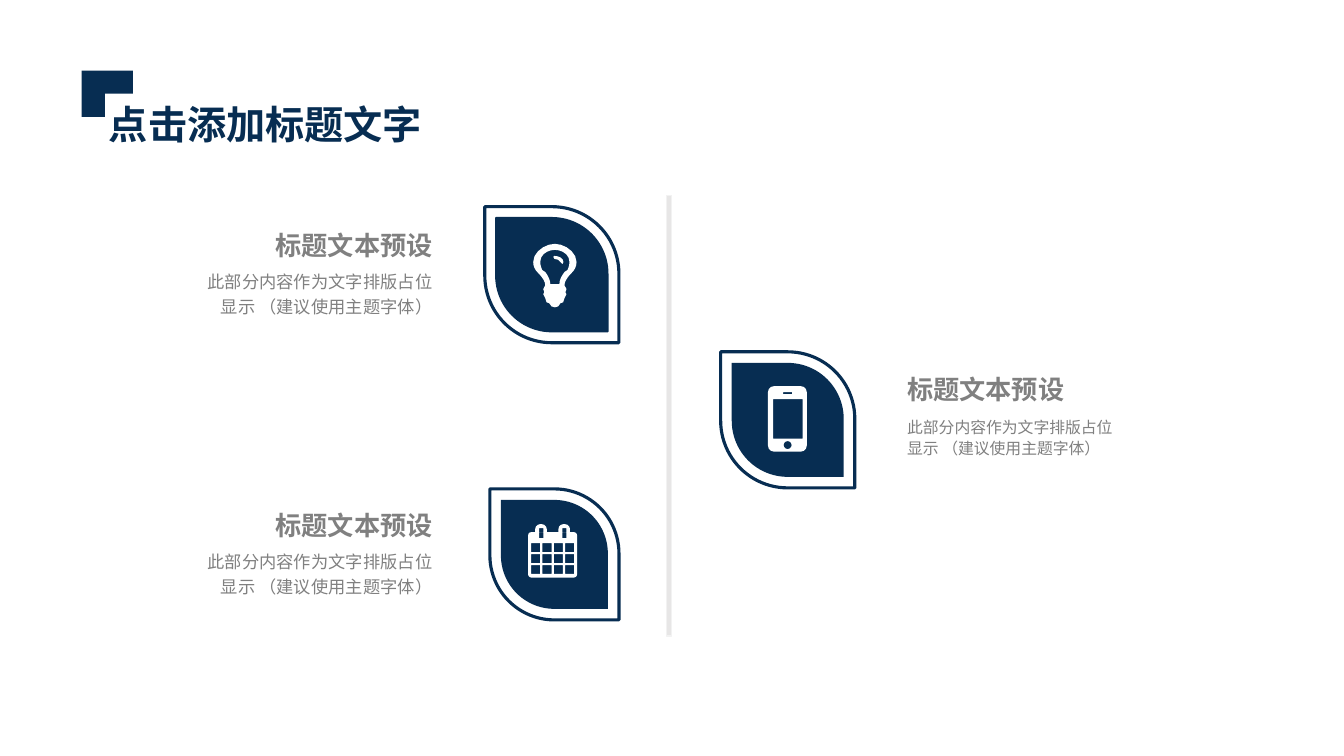
from math import cos, dist, pi, sin

from lxml import etree
from pptx import Presentation
from pptx.dml.color import RGBColor
from pptx.enum.shapes import MSO_SHAPE
from pptx.enum.text import MSO_ANCHOR, MSO_AUTO_SIZE, PP_ALIGN
from pptx.oxml.ns import qn
from pptx.util import Pt

NAVY = RGBColor(0x07, 0x2D, 0x52)
GREY = RGBColor(0x80, 0x80, 0x80)
PALE = RGBColor(0xE7, 0xE6, 0xE6)
PALE_EDGE = RGBColor(0xF2, 0xF2, 0xF2)
WHITE = RGBColor(0xFF, 0xFF, 0xFF)
FONT = "Noto Sans CJK SC"
LEAF, RECT, CORNER = MSO_SHAPE.ROUND_2_DIAG_RECTANGLE, MSO_SHAPE.RECTANGLE, MSO_SHAPE.CORNER
LEFT, RIGHT = PP_ALIGN.LEFT, PP_ALIGN.RIGHT
TOP, MIDDLE, BOTTOM = MSO_ANCHOR.TOP, MSO_ANCHOR.MIDDLE, MSO_ANCHOR.BOTTOM

TITLE = "点击添加标题文字"
HEADING = "标题文本预设"
BODY = "此部分内容作为文字排版占位显示 （建议使用主题字体）"
LEAF_GAP = 7.9
GRID = 0.72  # points per icon unit

# Right half of the bulb, from its top down: start, then Bezier segments
BULB_WIDTH = 43
BULB_HALF = ((21.5, 0), [
    (31, 0, 43, 8, 43, 18), (43, 23, 41, 26, 38, 29), (35, 32, 31, 37, 31, 41),
    (32, 42, 33, 44, 33, 45), (33, 46, 32, 47, 32, 48), (32, 48, 33, 49, 33, 50),
    (33, 52, 32, 53, 31, 54), (31, 58, 29, 59, 27, 59), (26, 62, 24, 63, 21.5, 63)])
GLASS_HALF = ((21.5, 6), [
    (28, 6, 36, 10, 36, 18), (36, 21, 35, 24, 34, 26), (33, 27, 32, 27, 31, 28),
    (28, 32, 26, 36, 26, 40)])
GLINT = ((29, 20), [
    (28, 20, 27, 19, 27, 18), (27, 16, 23, 15, 21, 15), (20, 15, 20, 14, 20, 13),
    (20, 13, 20, 12, 21, 12), (25, 12, 30, 14, 30, 18), (30, 19, 29, 20, 29, 20)])


def curve(start, segments):
    """Points along a chain of cubic Bezier segments, more on longer ones."""
    points = [start]
    for x1, y1, x2, y2, x3, y3 in segments:
        x0, y0 = points[-1]
        steps = min(5, max(1, round(dist((x0, y0), (x3, y3)) / 3)))
        for i in range(1, steps + 1):
            t = i / steps
            a, b, c, d = (1 - t) ** 3, 3 * t * (1 - t) ** 2, 3 * t * t * (1 - t), t ** 3
            points.append((a * x0 + b * x1 + c * x2 + d * x3,
                           a * y0 + b * y1 + c * y2 + d * y3))
    return points


def mirrored(half):
    points = curve(*half)
    return points + [(BULB_WIDTH - x, y) for x, y in reversed(points)]


def rounded(x, y, w, h, top=0, bottom=0):
    """Rectangle outline with its own radius for the top and bottom corners."""
    corners = [(x + w - bottom, y + h - bottom, bottom), (x + bottom, y + h - bottom, bottom),
               (x + top, y + top, top), (x + w - top, y + top, top)]
    points = []
    for k, (cx, cy, r) in enumerate(corners):
        for i in range(4 if r else 1):
            angle = pi / 2 * (k + i / 3)
            points.append((cx + r * cos(angle), cy + r * sin(angle)))
    return points


BULB = [mirrored(BULB_HALF), mirrored(GLASS_HALF), curve(*GLINT)]
PHONE = [rounded(0, 0, 38.5, 65, 6, 6), rounded(5, 13, 29.5, 39),
         rounded(15, 6, 9, 2), rounded(15.5, 54.5, 8, 8, 4, 4)]
CALENDAR = [rounded(0, 8, 48.5, 45, 3, 3)]
for tab_x in (7, 30):
    CALENDAR += [rounded(tab_x, 0, 11.5, 8, 5), rounded(tab_x + 4, 4, 4, 10)]
CALENDAR += [rounded(3 + 11.2 * col, 19 + 10.8 * row, 9, 8.8)
             for row in range(3) for col in range(4)]

LEFT_BODY = {"size": 12.3, "align": RIGHT, "anchor": TOP, "spacing": 1.2,
             "insets": (7.2, 3.6, 37.4, 3.6)}
LEFT_HEAD = {"size": 18.7, "bold": True, "align": RIGHT, "anchor": BOTTOM, "wrap": False,
             "insets": (0, 0, 37.4, 0)}
RIGHT_BODY = {"size": 11.3, "align": LEFT, "anchor": MIDDLE, "spacing": 1.1,
              "insets": (37.4, 3.6, 22.3, 3.6)}
RIGHT_HEAD = {"size": 18.7, "bold": True, "align": LEFT, "anchor": MIDDLE, "wrap": False,
              "insets": (37.4, 0, 22.3, 0)}

# leaf box, rim of the inner leaf, icon, icon corner, heading box, body box, formats
ITEMS = [
    ((345.6, 148.3, 97.2, 95.8), 1, BULB, (380.9, 174.2),
     (232.6, 161.3, 113.8, 25.2), (138.2, 187.2, 208.1, 43.9), LEFT_HEAD, LEFT_BODY),
    ((514.1, 252, 97.2, 95.8), 0, PHONE, (548.6, 275.8),
     (610.6, 265, 130.3, 25.2), (610.6, 290.2, 206.6, 43.9), RIGHT_HEAD, RIGHT_BODY),
    ((349.2, 349.9, 93.6, 92.2), 0, CALENDAR, (377.3, 374.4),
     (232.6, 361.4, 113.8, 25.2), (138.2, 387.4, 208.1, 43.9), LEFT_HEAD, LEFT_BODY),
]


def paint(sp, fill=None, line=None, width=0):
    sp.shadow.inherit = False
    if fill is None:
        sp.fill.background()
    else:
        sp.fill.solid()
        sp.fill.fore_color.rgb = fill
    if width:
        sp.line.color.rgb = line
        sp.line.width = Pt(width)
    else:
        sp.line.fill.background()


def add_box(s, kind, box, rotation=0, **look):
    sp = s.shapes.add_shape(kind, *map(Pt, box))
    sp.rotation = rotation
    paint(sp, **look)
    return sp


def add_leaf(s, box, **look):
    sp = add_box(s, LEAF, box, 270, **look)
    sp.adjustments[0], sp.adjustments[1] = 0.5, 0


def add_icon(s, outlines, corner):
    fine = [[(x * 100, y * 100) for x, y in points] for points in outlines]
    builder = s.shapes.build_freeform(*fine[0][0], scale=Pt(GRID) / 100)
    builder.add_line_segments(fine[0][1:], close=True)
    for points in fine[1:]:
        builder.move_to(*points[0])
        builder.add_line_segments(points[1:], close=True)
    paint(builder.convert_to_shape(*map(Pt, corner)), fill=WHITE)


def write(sp, text, size, align, anchor, insets, color=GREY, bold=False, wrap=True, spacing=1.0):
    tf = sp.text_frame
    frame = {"auto_size": MSO_AUTO_SIZE.NONE, "word_wrap": wrap, "vertical_anchor": anchor}
    sides = ("margin_left", "margin_top", "margin_right", "margin_bottom")
    frame.update(zip(sides, map(Pt, insets)))
    for name, value in frame.items():
        setattr(tf, name, value)
    p = tf.paragraphs[0]
    p.alignment, p.line_spacing = align, spacing
    r = p.add_run()
    r.text = text
    for name, value in {"size": Pt(size), "bold": bold, "name": FONT}.items():
        setattr(r.font, name, value)
    r.font.color.rgb = color
    etree.SubElement(r.font._element, qn("a:ea"), typeface=FONT)


def main():
    prs = Presentation()
    prs.slide_width, prs.slide_height = Pt(960), Pt(540)
    s = prs.slides.add_slide(prs.slide_layouts[5])

    add_box(s, RECT, (475.9, 139.7, 3.6, 314.6), fill=PALE, line=PALE_EDGE, width=1)
    add_box(s, CORNER, (60.1, 48.6, 33.1, 36.7), 90, fill=NAVY)

    title = s.shapes.title
    title.left, title.top, title.width, title.height = map(Pt, (70.6, 67.7, 251.3, 41))
    write(title, TITLE, 28, LEFT, MIDDLE, (7.2, 3.6, 7.2, 3.6), color=NAVY, bold=True)

    for leaf, rim, icon, corner, head_box, body_box, head_format, body_format in ITEMS:
        x, y, w, h = leaf
        inner = (x + LEAF_GAP, y + LEAF_GAP, w - 2 * LEAF_GAP, h - 2 * LEAF_GAP)
        add_leaf(s, leaf, line=NAVY, width=2.25)
        add_leaf(s, inner, fill=NAVY, line=NAVY, width=rim)
        add_icon(s, icon, corner)
        write(s.shapes.add_textbox(*map(Pt, body_box)), BODY, **body_format)
        write(s.shapes.add_textbox(*map(Pt, head_box)), HEADING, **head_format)

    prs.save("out.pptx")


if __name__ == "__main__":
    main()
